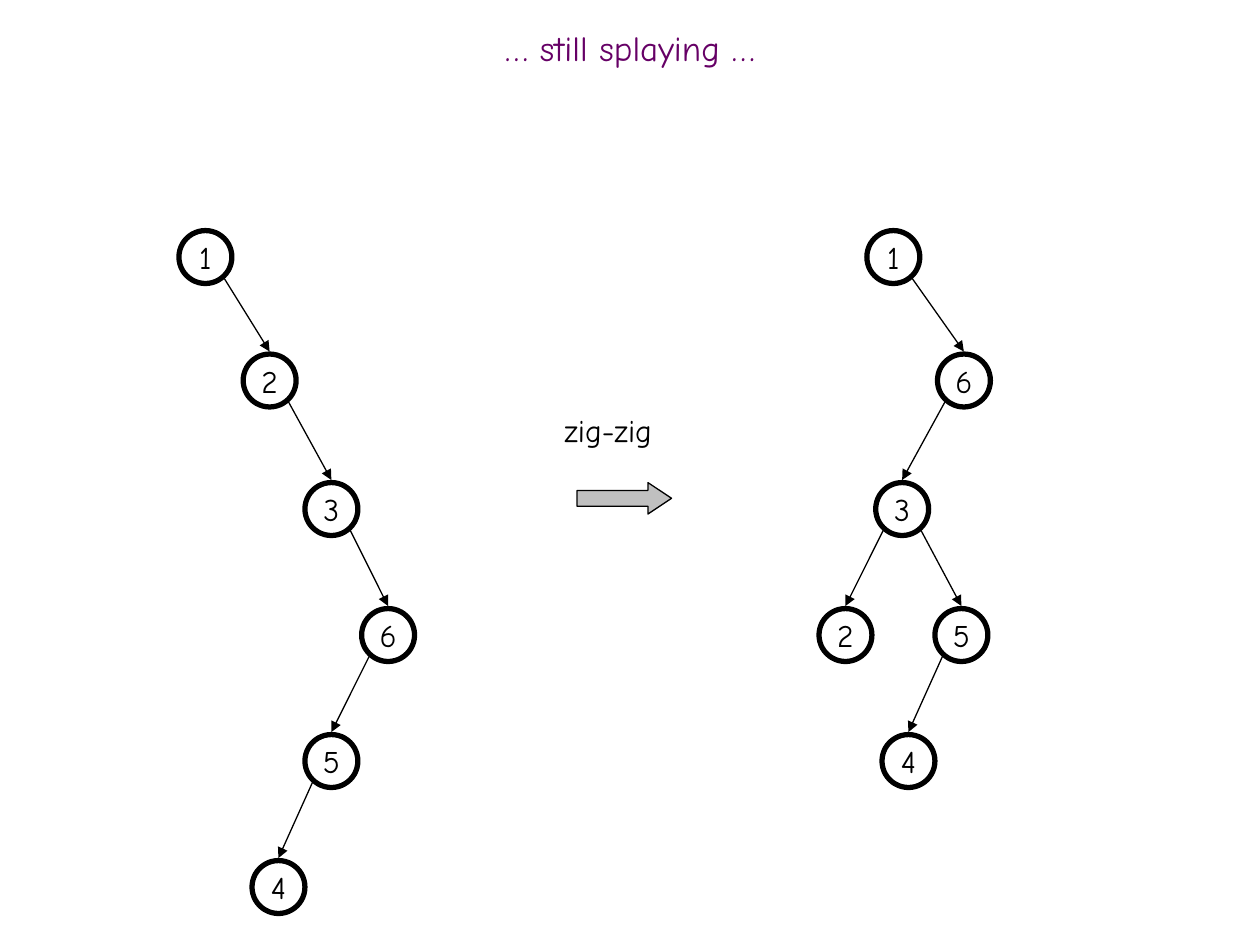
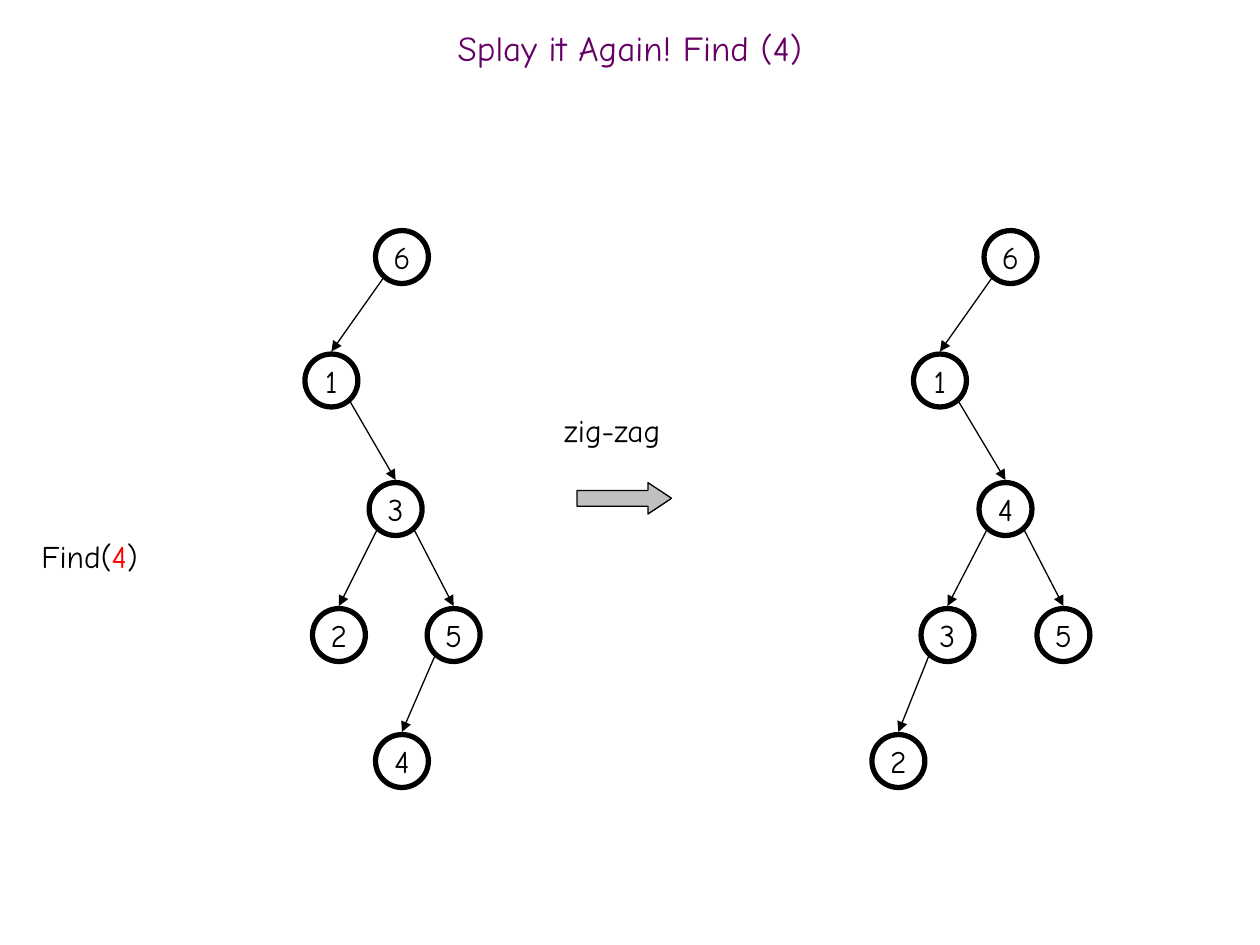
from lxml import etree
from pptx import Presentation
from pptx.dml.color import RGBColor
from pptx.enum.shapes import MSO_CONNECTOR, MSO_SHAPE
from pptx.enum.text import MSO_ANCHOR, MSO_AUTO_SIZE, PP_ALIGN
from pptx.oxml.ns import qn
from pptx.util import Inches, Pt

CIRCLE = MSO_SHAPE.OVAL
RIGHT_ARROW = MSO_SHAPE.RIGHT_ARROW
STRAIGHT = MSO_CONNECTOR.STRAIGHT
CENTER = PP_ALIGN.CENTER
MIDDLE = MSO_ANCHOR.MIDDLE
FIT_SHAPE = MSO_AUTO_SIZE.SHAPE_TO_FIT_TEXT
NO_FIT = MSO_AUTO_SIZE.NONE

FONT = "Comic Neue"
BLACK, PURPLE, RED, GRAY = "000000", "660066", "FF0000", "C0C0C0"
TREE_TOP = 1.83
LEVELS = [0, 0.98, 2, 3, 4, 5]
NODE = 0.42
EDGE_INSET, EDGE_DROP, EDGE_GAP = 0.06, 0.38, 0.02

# Each node: key, level, offset from the tree's left, parent key.
SLIDES = [
    {
        "title": "… still splaying …",
        "step": ("zig-zig", 0.98),
        "trees": [
            (1.42, [("1", 0, 0, None), ("2", 1, 0.51, "1"), ("3", 2, 1, "2"),
                    ("6", 3, 1.45, "3"), ("5", 4, 1, "6"), ("4", 5, 0.58, "5")]),
            (6.5, [("1", 0, 0.38, None), ("6", 1, 0.94, "1"), ("3", 2, 0.45, "6"),
                   ("2", 3, 0, "3"), ("5", 3, 0.92, "3"), ("4", 4, 0.5, "5")]),
        ],
    },
    {
        "title": "Splay it Again! Find (4)",
        "step": ("zig-zag", 1.04),
        "query": [("Find(", BLACK), ("4", RED), (")", BLACK)],
        "trees": [
            (2.42, [("6", 0, 0.56, None), ("1", 1, 0, "6"), ("3", 2, 0.51, "1"),
                    ("2", 3, 0.06, "3"), ("5", 3, 0.97, "3"), ("4", 4, 0.56, "5")]),
            (6.92, [("6", 0, 0.89, None), ("1", 1, 0.33, "6"), ("4", 2, 0.85, "1"),
                    ("3", 3, 0.39, "4"), ("5", 3, 1.31, "4"), ("2", 4, 0, "3")]),
        ],
    },
]


def color(hex_string):
    return RGBColor.from_string(hex_string)


def style_font(font, size, hex_string):
    font.name = FONT
    font.size = Pt(size)
    font.color.rgb = color(hex_string)


def set_line(line, width):
    line.color.rgb = color(BLACK)
    line.width = Pt(width)


def add_title(slide, text):
    title = slide.shapes.title
    title.left, title.top = Inches(0), Inches(0.17)
    title.width, title.height = Inches(10), Inches(0.5)
    frame = title.text_frame
    frame.text = text
    frame.auto_size = NO_FIT
    frame.vertical_anchor = MIDDLE
    heading = frame.paragraphs[0]
    heading.alignment = CENTER
    heading.line_spacing = 0.7
    style_font(heading.font, 20, PURPLE)


def add_label(slide, left, top, width, parts):
    label = slide.shapes.add_textbox(Inches(left), Inches(top), Inches(width), Inches(0.4))
    frame = label.text_frame
    frame.word_wrap = False
    frame.auto_size = FIT_SHAPE
    for text, hex_string in parts:
        run = frame.paragraphs[0].add_run()
        run.text = text
        style_font(run.font, 18, hex_string)


def add_step(slide, left, top, name, width):
    add_label(slide, left, top, width, [(name, BLACK)])
    arrow = slide.shapes.add_shape(
        RIGHT_ARROW, Inches(left + 0.2), Inches(top + 0.62), Inches(0.75), Inches(0.25))
    arrow.shadow.inherit = False
    arrow.adjustments[0] = 0.5
    arrow.adjustments[1] = 0.75
    arrow.fill.solid()
    arrow.fill.fore_color.rgb = color(GRAY)
    set_line(arrow.line, 0.75)


def add_node(slide, left, top, key):
    node = slide.shapes.add_shape(CIRCLE, Inches(left), Inches(top), Inches(NODE), Inches(NODE))
    node.shadow.inherit = False
    node.fill.background()
    set_line(node.line, 3)
    frame = node.text_frame
    frame.text = key
    frame.word_wrap = False
    frame.vertical_anchor = MIDDLE
    frame.paragraphs[0].alignment = CENTER
    style_font(frame.paragraphs[0].font, 18, BLACK)


def add_edge(slide, parent, child):
    parent_left, parent_top = parent
    child_left, child_top = child
    inset = NODE - EDGE_INSET if child_left > parent_left else EDGE_INSET
    edge = slide.shapes.add_connector(
        STRAIGHT,
        Inches(parent_left + inset), Inches(parent_top + EDGE_DROP),
        Inches(child_left + NODE / 2), Inches(child_top - EDGE_GAP))
    set_line(edge.line, 0.75)
    properties = edge.line._get_or_add_ln()
    etree.SubElement(properties, qn("a:tailEnd"), type="triangle")
    etree.SubElement(properties.getparent(), qn("a:effectLst"))


def add_tree(slide, left, top, nodes):
    places = {}
    for key, level, offset, parent in nodes:
        places[key] = (left + offset, top + LEVELS[level])
        add_node(slide, *places[key], key)
        if parent:
            add_edge(slide, places[parent], places[key])


def add_splay_slide(deck, content):
    slide = deck.slides.add_slide(deck.slide_layouts[5])
    add_title(slide, content["title"])
    add_step(slide, 4.38, 3.21, *content["step"])
    if "query" in content:
        add_label(slide, 0.23, 4.21, 1.05, content["query"])
    for left, nodes in content["trees"]:
        add_tree(slide, left, TREE_TOP, nodes)


def main():
    deck = Presentation()
    deck.slide_width, deck.slide_height = Inches(10), Inches(7.5)
    for content in SLIDES:
        add_splay_slide(deck, content)
    deck.save("out.pptx")


if __name__ == "__main__":
    main()
